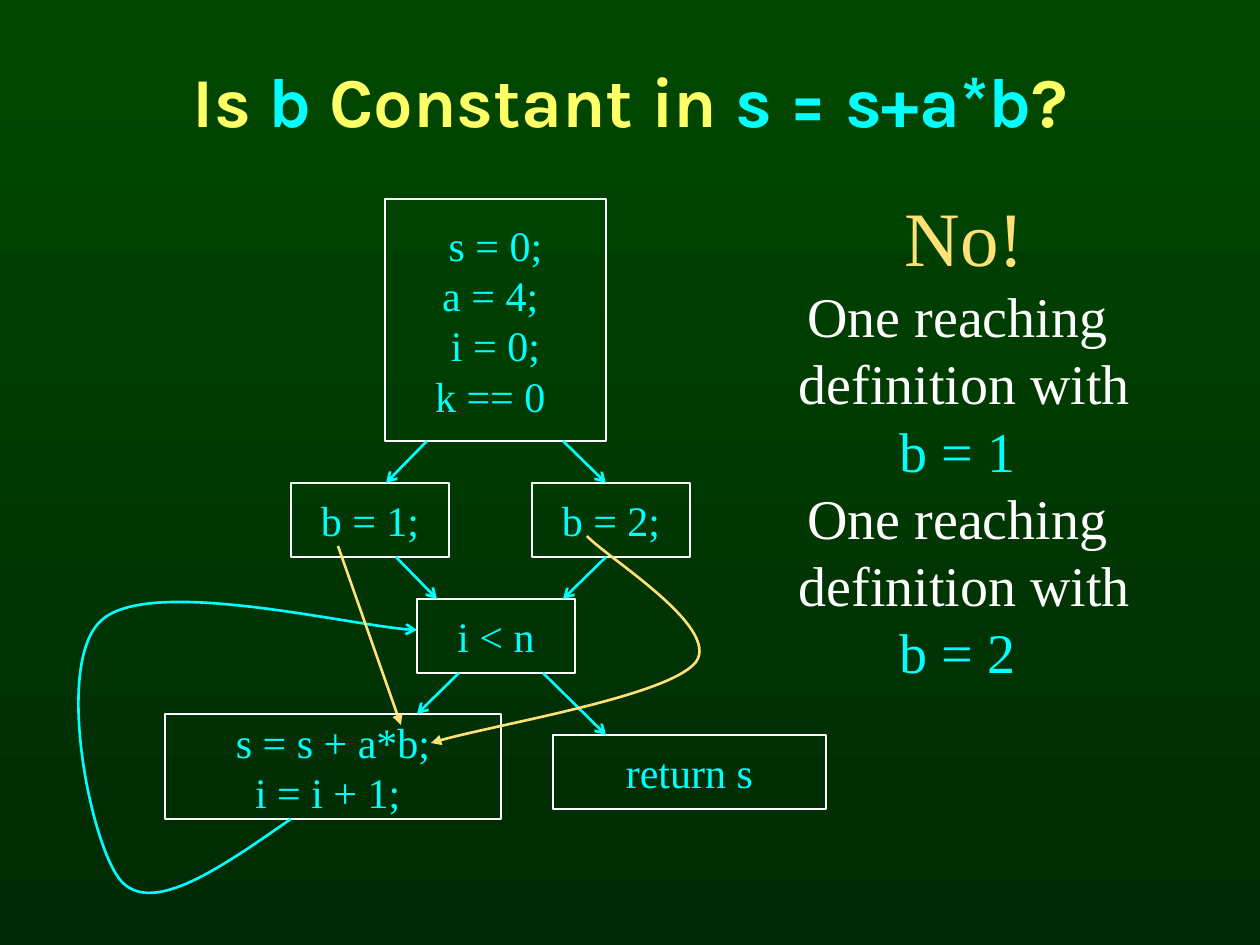
import pptx
import pptx.util
import pptx.dml.color
import pptx.enum.shapes
import pptx.enum.text
import pptx.oxml
import pptx.oxml.ns
from dataclasses import dataclass

SCALE = 914400 / 126
qn = pptx.oxml.ns.qn


@dataclass(frozen=True)
class Theme:
    """Colours, fonts and type sizes of the slide."""
    top: str = "004800"
    base: str = "002A04"
    title: str = "FFFF66"
    code: str = "00FFFF"
    text: str = "FFFFFF"
    note: str = "FFE175"
    head: str = "Karla"
    body: str = "Times New Roman"
    big: int = 40
    loud: int = 44
    mid: int = 32
    small: int = 24
    line: float = 1.5


T = Theme()


def px(n):
    """Turn pixels into EMU."""
    return pptx.util.Emu(round(n * SCALE))


def rgb(code):
    """Turn a hex code into a colour."""
    return pptx.dml.color.RGBColor.from_string(code)


def put_runs(para, runs, font, size, bold=False):
    """Fill a centred paragraph with (text, colour) runs."""
    para.alignment = pptx.enum.text.PP_ALIGN.CENTER
    for text, color in runs:
        run = para.add_run()
        run.text = text
        run.font.name, run.font.size = font, pptx.util.Pt(size)
        run.font.bold = bold
        run.font.color.rgb = rgb(color)


def put_lines(frame, lines):
    """Fill a frame with (text, colour, size) lines, one paragraph each."""
    frame.word_wrap = False
    for i, (text, color, size) in enumerate(lines):
        para = frame.add_paragraph() if i else frame.paragraphs[0]
        para.line_spacing = pptx.util.Pt(round(size * 1.2, 1))
        put_runs(para, [(text, color)], T.body, size)


def set_line(shape, color, tip):
    """Colour a line and give its end an arrowhead."""
    shape.line.color.rgb = rgb(color)
    shape.line.width = pptx.util.Pt(T.line)
    props = shape.element.spPr
    end = pptx.oxml.parse_xml(
        f'<a:tailEnd {pptx.oxml.ns.nsdecls("a")} type="{tip}"/>')
    props.find(qn("a:ln")).append(end)
    if props.find(qn("a:effectLst")) is None:
        props.append(props.makeelement(qn("a:effectLst"), {}))


def add_arrow(shapes, start, stop, color, tip):
    """Draw a straight arrow between two points."""
    line = shapes.add_connector(
        pptx.enum.shapes.MSO_CONNECTOR.STRAIGHT,
        *(px(n) for n in (*start, *stop)))
    set_line(line, color, tip)


def add_curve(shapes, points, color, tip):
    """Draw an arrow of cubic curves: a start, then three points a curve."""
    first, *rest = [(px(x), px(y)) for x, y in points]
    pen = shapes.build_freeform(*first)
    pen.add_line_segments(rest, close=False)
    curve = pen.convert_to_shape()
    steps = list(curve.element.iter(qn("a:lnTo")))
    for i in range(0, len(steps), 3):
        bend = steps[i].makeelement(qn("a:cubicBezTo"), {})
        steps[i].addprevious(bend)
        for step in steps[i:i + 3]:
            bend.append(step[0])
            step.getparent().remove(step)
    curve.fill.background()
    curve.shadow.inherit = False
    set_line(curve, color, tip)


def add_node(shapes, box, lines):
    """Draw an outlined block of code."""
    node = shapes.add_shape(pptx.enum.shapes.MSO_SHAPE.RECTANGLE,
                            *(px(n) for n in box))
    node.fill.background()
    node.shadow.inherit = False
    node.line.color.rgb = rgb(T.text)
    node.line.width = pptx.util.Pt(T.line)
    node.text_frame.vertical_anchor = pptx.enum.text.MSO_ANCHOR.MIDDLE
    put_lines(node.text_frame, [(text, T.code, T.small) for text in lines])


def add_title(slide, box):
    """Place the title and fill it run by run."""
    title = slide.shapes.title
    title.left, title.top, title.width, title.height = (px(n) for n in box)
    frame = title.text_frame
    frame.auto_size = pptx.enum.text.MSO_AUTO_SIZE.NONE
    frame.vertical_anchor = pptx.enum.text.MSO_ANCHOR.MIDDLE
    runs = [("Is ", T.title), ("b", T.code), (" Constant in ", T.title),
            ("s = s+a*b", T.code), ("?", T.title)]
    put_runs(frame.paragraphs[0], runs, T.head, T.big, True)


def add_flow(slide, left, top):
    """Draw the control flow graph from its top left corner."""
    shapes = slide.shapes.add_group_shape().shapes
    nodes = {
        "start": (332, 0, 221, 242, [" s = 0; ", "a = 4; ", "i = 0;", "k == 0 "]),
        "one": (238, 284, 158, 74, ["b = 1;"]),
        "two": (479, 284, 158, 74, ["b = 2;"]),
        "test": (364, 400, 158, 74, ["i < n"]),
        "loop": (112, 515, 336, 105, ["s = s + a*b;", "i = i + 1; "]),
        "exit": (500, 536, 273, 74, ["return s"]),
    }
    for x, y, wide, high, lines in nodes.values():
        add_node(shapes, (left + x, top + y, wide, high), lines)
    edges = [("start", 374, "one", 333), ("start", 510, "two", 553),
             ("one", 343, "test", 384), ("two", 553, "test", 510),
             ("test", 406, "loop", 364), ("test", 490, "exit", 553)]
    for src, out, dest, into in edges:
        low = nodes[src][1] + nodes[src][3]
        add_arrow(shapes, (left + out, top + low),
                  (left + into, top + nodes[dest][1]), T.code, "arrow")
    back = [(238, 620), (169, 668), (101, 716), (69, 683), (38, 650),
            (0, 463), (49, 421), (97, 378), (311, 430), (364, 431)]
    add_curve(shapes, [(left + x, top + y) for x, y in back], T.code, "arrow")


def add_reach(slide, left, top):
    """Draw the arrows from both definitions of b to its use."""
    add_arrow(slide.shapes, (left + 285, top + 347), (left + 348, top + 526),
              T.note, "triangle")
    bend = [(534, 337), (553, 358), (668, 428), (643, 463),
            (616, 497), (432, 527), (378, 544)]
    add_curve(slide.shapes, [(left + x, top + y) for x, y in bend],
              T.note, "triangle")


def add_answer(slide, box):
    """Write the answer and its two reasons."""
    frame = slide.shapes.add_textbox(*(px(n) for n in box)).text_frame
    lines = [("No!", T.note, T.loud)]
    for value in (1, 2):
        lines += [("One reaching ", T.text, T.mid),
                  ("definition with", T.text, T.mid),
                  (f"b = {value} ", T.code, T.mid)]
    put_lines(frame, lines)
    frame.auto_size = pptx.enum.text.MSO_AUTO_SIZE.SHAPE_TO_FIT_TEXT


def add_back(slide):
    """Fill the background from top to bottom."""
    fill = slide.background.fill
    fill.gradient()
    fill.gradient_angle = 270
    for stop, color, place in zip(fill.gradient_stops, (T.top, T.base), (0, 1)):
        stop.color.rgb = rgb(color)
        stop.position = place


def main():
    """Build and save the slide."""
    deck = pptx.Presentation()
    deck.slide_width, deck.slide_height = px(1260), px(945)
    slide = deck.slides.add_slide(deck.slide_layouts[5])
    add_back(slide)
    add_title(slide, (53, 21, 1155, 158))
    add_flow(slide, 53, 199)
    add_answer(slide, (786, 183, 357, 508))
    add_reach(slide, 53, 199)
    deck.save("out.pptx")


main()
